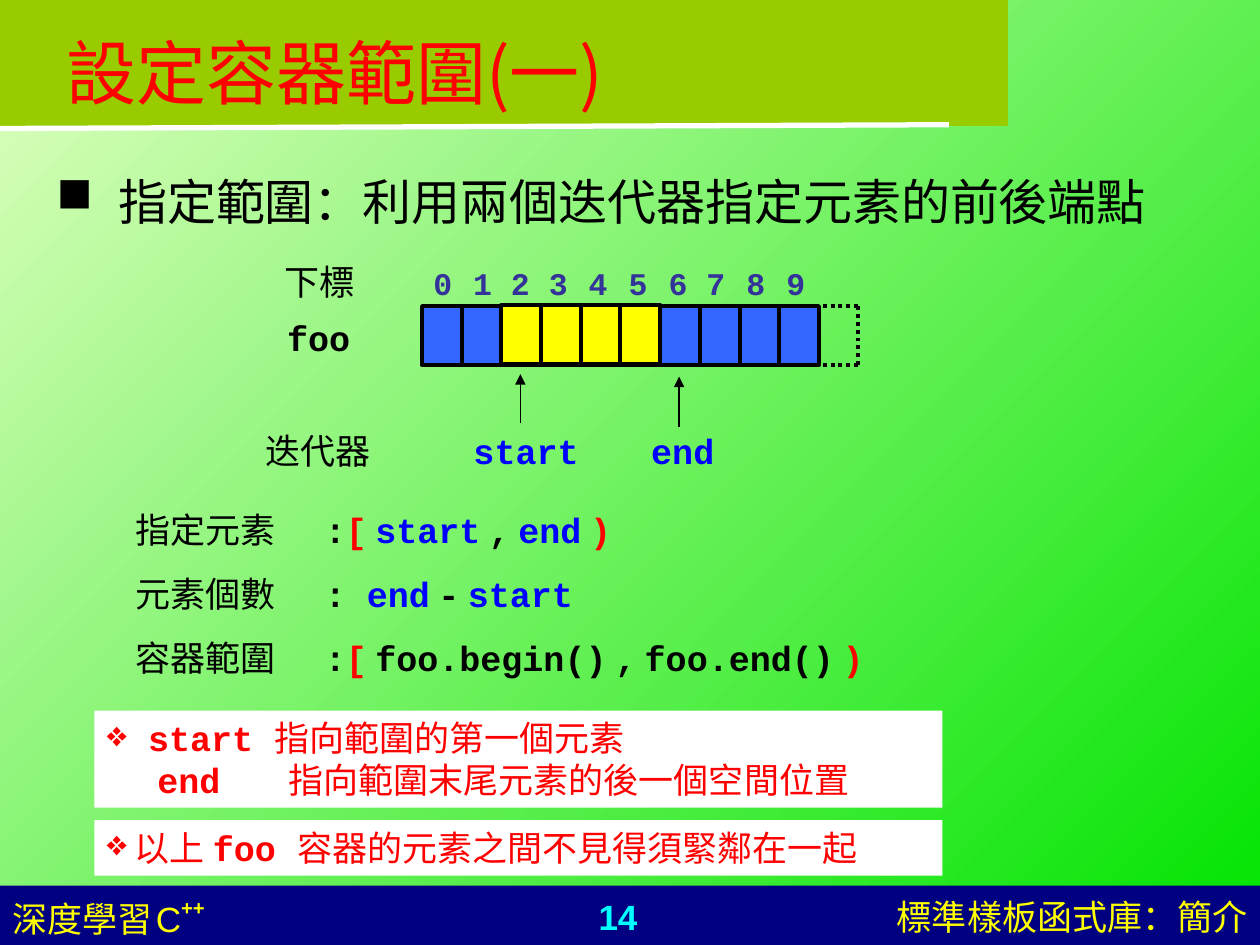
"""Build the slide on giving a container range with two iterators."""
from math import cos, pi, sin

from lxml.etree import SubElement
from pptx import Presentation
from pptx.dml.color import RGBColor
from pptx.enum.dml import MSO_LINE
from pptx.enum.shapes import MSO_CONNECTOR, MSO_SHAPE
from pptx.enum.text import MSO_ANCHOR, PP_ALIGN
from pptx.oxml.ns import qn
from pptx.util import Inches, Pt

COLORS = {name: RGBColor.from_string(code) for name, code in {
    "black": "000000", "white": "FFFFFF", "red": "FF0000", "blue": "0000FF",
    "yellow": "FFFF00", "cyan": "00FFFF", "navy": "000080", "olive": "99CC00",
    "cell": "3366FF", "index": "333399", "pale": "E0FFC1", "green": "00E400",
}.items()}
SMALL = {"size": 8}
BOLD = {"bold": True}
RED = {"bold": True, "color": "red"}
BLUE = {"bold": True, "color": "blue"}
GAP = (" ", SMALL)


def write(frame, paragraphs, align=PP_ALIGN.LEFT, bullet=None, hang=0, tabs=(), **base):
    """Fill a text frame with paragraphs made of (text, format) runs."""
    frame.word_wrap = True
    for number, runs in enumerate(paragraphs):
        paragraph = frame.add_paragraph() if number else frame.paragraphs[0]
        paragraph.alignment = align
        if number:
            paragraph.space_before = Pt(12.5)
        props = paragraph._p.get_or_add_pPr()
        props.set("marL", str(Inches(hang)))
        props.set("indent", str(-Inches(hang)))
        if bullet:
            mark_color = SubElement(props, qn("a:buClr"))
            color = base.get("color", "black")
            SubElement(mark_color, qn("a:srgbClr"), val=str(COLORS[color]))
            SubElement(props, qn("a:buChar"), char=bullet)
        if tabs:
            stops = SubElement(props, qn("a:tabLst"))
            for stop in tabs:
                SubElement(stops, qn("a:tab"), pos=str(Inches(stop)), algn="l")
        for text, changes in runs:
            if text == "\n":
                paragraph.add_line_break()
                continue
            style = {"size": 20, "name": "Courier New", "color": "black", "bold": False, **base, **changes}
            run = paragraph.add_run()
            run.text = text
            run.font.color.rgb = COLORS[style["color"]]
            run.font.size = Pt(style["size"])
            for key in ("name", "bold"):
                setattr(run.font, key, style[key])
            run_props = run._r.get_or_add_rPr()
            SubElement(run_props, qn("a:ea"), typeface="Noto Sans CJK TC")
            if "raised" in style:
                run_props.set("baseline", str(style["raised"] * 1000))


def draw_line(x1, y1, x2, y2, width=2.25, color="black", dash=None, arrow=False):
    """Draw a straight line without a shadow."""
    line = slide.shapes.add_connector(
        MSO_CONNECTOR.STRAIGHT, Inches(x1), Inches(y1), Inches(x2), Inches(y2))
    line.line.color.rgb = COLORS[color]
    line.line.width = Pt(width)
    if dash:
        line.line.dash_style = dash
    if arrow:
        SubElement(line.line._get_or_add_ln(), qn("a:tailEnd"), type="triangle")
    SubElement(line._element.spPr, qn("a:effectLst"))


prs = Presentation()
prs.slide_width, prs.slide_height = Inches(10), Inches(7.5)
slide = prs.slides.add_slide(prs.slide_layouts[5])
backdrop = slide.background.fill
backdrop.gradient()
backdrop.gradient_angle = 315
for stop, position, color in zip(backdrop.gradient_stops, (0, 1), ("pale", "green")):
    stop.position = position
    stop.color.rgb = COLORS[color]

outline = slide.shapes.build_freeform(0, 0.21, scale=Inches(1))
arc = [(7.61 + 0.5 * sin(pi * i / 40), 0.7 - 0.49 * cos(pi * i / 40)) for i in range(41)]
outline.add_line_segments([*arc, (0, 1.19)], close=True)
banner = outline.convert_to_shape()
banner.fill.solid()
banner.fill.fore_color.rgb = COLORS["olive"]
banner.line.fill.background()
banner.shadow.inherit = False
draw_line(0, 1.02, 7.53, 0.99, width=3, color="white")

title = slide.shapes.title
title.left, title.top, title.width, title.height = map(Inches, (0.43, -0.06, 9, 1.25))
title.text_frame.vertical_anchor = MSO_ANCHOR.MIDDLE
write(title.text_frame, [[("設定容器範圍", {}), ("(一)", {"name": "Noto Sans CJK SC"})]],
      size=40, name="Arial", color="red")
slide.shapes._spTree.append(title._element)

cell_left, cell_top, cell_width, cell_height = 3.35, 2.43, 0.315, 0.47
cell_bottom = cell_top + cell_height
panels = [
    (0, 7.03, 10, 0.47, "navy", False),
    (cell_left, cell_top, 10 * cell_width, cell_height, "cell", True),
    *[(cell_left + i * cell_width, 2.42, cell_width, cell_height, "yellow", True) for i in range(2, 6)],
    (0.75, 6.51, 6.73, 0.44, "white", False),
    (0.75, 5.64, 6.73, 0.77, "white", False),
]
for left, top, width, height, color, outlined in panels:
    panel = slide.shapes.add_shape(
        MSO_SHAPE.RECTANGLE, Inches(left), Inches(top), Inches(width), Inches(height))
    panel.shadow.inherit = False
    panel.fill.solid()
    panel.fill.fore_color.rgb = COLORS[color]
    if outlined:
        panel.line.color.rgb = COLORS["black"]
        panel.line.width = Pt(2.25)
    else:
        panel.line.fill.background()

for i in range(1, 11):
    x = cell_left + i * cell_width
    draw_line(x, cell_top, x, cell_bottom)
for x1, y1, x2, y2 in [(6.81, cell_top, 6.81, cell_bottom),
                       (6.81, cell_top, 6.47, cell_top),
                       (6.81, cell_bottom, 6.47, cell_bottom)]:
    draw_line(x1, y1, x2, y2, dash=MSO_LINE.ROUND_DOT)
for x, bottom, top in [(4.13, 3.36, 2.97), (5.39, 3.39, 2.99)]:
    draw_line(x, bottom, x, top, width=0.75, arrow=True)

indices = []
for digit in range(10):
    indices.append((str(digit), {}))
    if digit < 9:
        indices.append((" ", {"size": 18 if digit in (1, 2, 6) else 20}))

formulas = [
    [("指定元素\t", {}), (":", BOLD), ("[", RED), GAP, ("start", BLUE), GAP,
     (",", BOLD), GAP, ("end", BLUE), GAP, (")", RED)],
    [("元素個數\t", {}), (": ", BOLD), ("end", BLUE), GAP, ("-", BOLD), GAP, ("start", BLUE)],
    [("容器範圍\t", {}), (":", BOLD), ("[", RED), GAP, ("foo.begin()", BOLD), GAP,
     (",", BOLD), GAP, ("foo.end()", BOLD), GAP, (")", RED)],
]
start_end_note = [
    (" ", {}), ("start ", BOLD), ("指向範圍的第一個元素", {}), ("\n", {}),
    ("\tend\t", BOLD), ("指向範圍末尾元素的後一個空間位置", {})]
adjacency_note = [(" 以上 ", {}), ("foo ", BOLD), ("容器的元素之間不見得須緊鄰在一起", {})]
footer = {"name": "Arial", "color": "yellow"}
note = {"bullet": "❖", "color": "red"}

texts = [
    (3.74, 7.06, 2.33, 0.44, [[("14", BOLD)]],
     {"name": "Arial", "color": "cyan", "align": PP_ALIGN.CENTER}),
    (6.18, 7.06, 3.82, 0.44,
     [[("標準樣板函式庫", {}), ("：", {"name": "Noto Sans CJK TC"}), ("簡介", {})]],
     {**footer, "align": PP_ALIGN.RIGHT}),
    (0, 7.06, 2.33, 0.44,
     [[("深度學習", {}), GAP, ("C", {}), ("++", {"bold": True, "raised": 46})]], footer),
    (0.35, 1.31, 9, 0.71, [[("指定範圍：利用兩個迭代器指定元素的前後端點", {})]],
     {"size": 28, "bullet": "■", "hang": 0.49}),
    (2.16, 2.02, 0.87, 0.44, [[("下標", {})]], {}),
    (2.18, 2.46, 0.98, 0.44, [[("foo", BOLD)]], {}),
    (2.01, 3.36, 1.07, 0.44, [[("迭代器", {})]], {}),
    (3.66, 3.36, 1.1, 0.44, [[("start", BLUE)]], {}),
    (5.07, 3.36, 0.79, 0.44, [[("end", BLUE)]], {}),
    (3.34, 2.02, 3.25, 0.44, [indices], {"size": 18, "color": "index", "bold": True}),
    (0.98, 3.99, 7.64, 1.45, formulas, {"tabs": [1.18]}),
    (0.75, 6.51, 6.73, 0.44, [adjacency_note], note),
    (0.75, 5.64, 6.73, 0.77, [start_end_note], {**note, "tabs": [0.4, 1.44]}),
]
for left, top, width, height, paragraphs, style in texts:
    box = slide.shapes.add_textbox(Inches(left), Inches(top), Inches(width), Inches(height))
    write(box.text_frame, paragraphs, **style)

prs.save("out.pptx")
